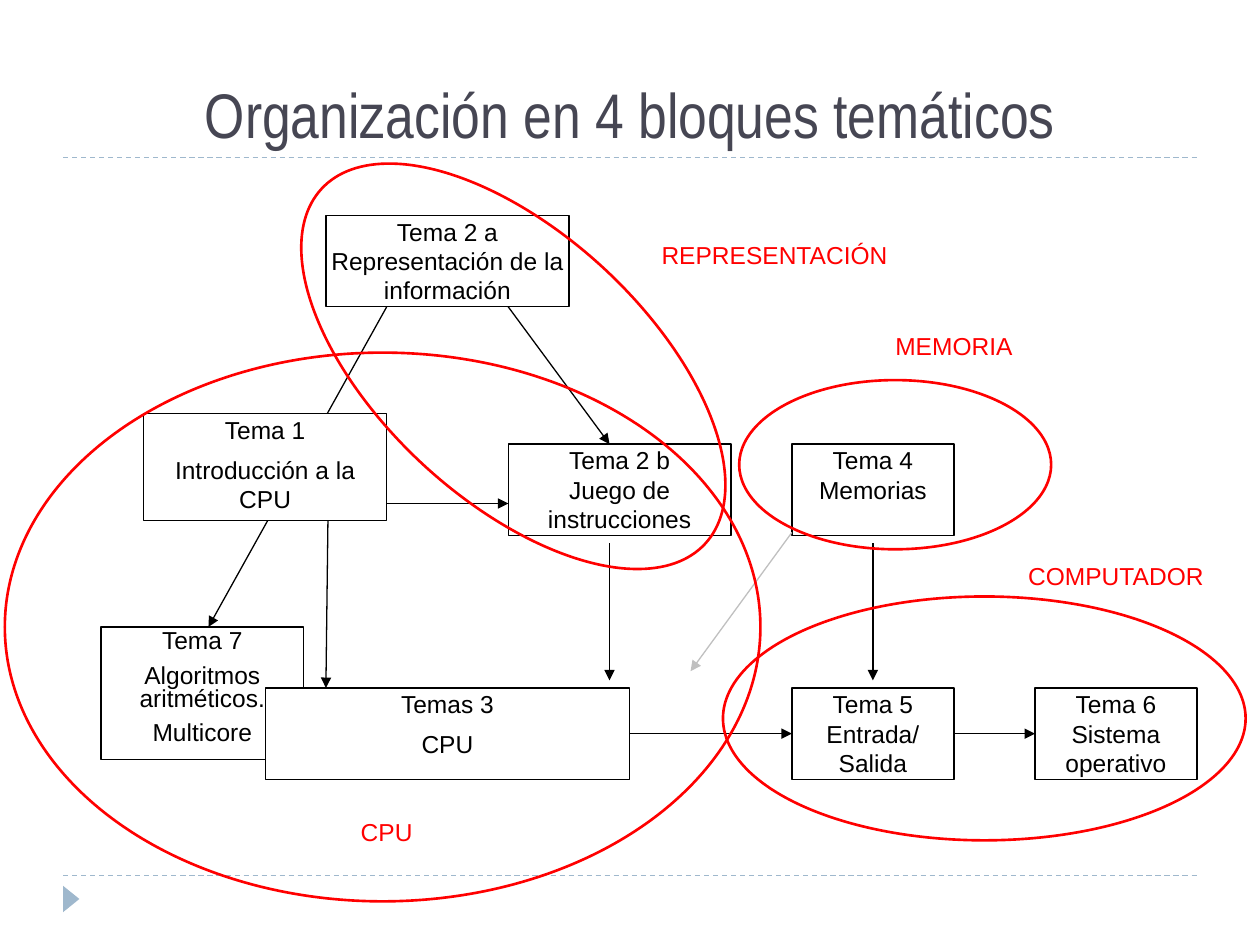
from dataclasses import dataclass
from typing import Optional

import pptx
import pptx.dml.color
import pptx.enum.dml
import pptx.enum.shapes
import pptx.enum.text
import pptx.oxml.ns
import pptx.util
from lxml import etree

In, Pt = pptx.util.Inches, pptx.util.Pt
SHAPE = pptx.enum.shapes.MSO_SHAPE
ANCHOR = pptx.enum.text.MSO_ANCHOR
W, H = 10, 7.5
COL, ROW = W / 62.2, H / 62     # diagram grid
LEFT, TOP = 1.14, 1.71          # grid origin, in inches


@dataclass(frozen=True)
class Theme:
    ink: str = "000000"
    paper: str = "FFFFFF"
    title: str = "464653"
    accent: str = "9FB8CD"
    block: str = "FF0000"
    faint: str = "C0C0C0"
    font: str = "Arial"
    title_font: str = "Arial Narrow"
    body_size: float = 14
    title_size: float = 36
    thin: float = 0.75
    thick: float = 1.5


T = Theme()


@dataclass(frozen=True)
class Cell:
    """Area of the diagram, in grid columns and rows."""
    col: float
    row: float
    cols: float
    rows: float

    def box(self) -> tuple:
        return (*point(self.col, self.row), In(self.cols * COL), In(self.rows * ROW))


@dataclass(frozen=True)
class Topic:
    cell: Cell
    lines: tuple
    after: float = 0
    spacing: tuple = (1, 1, 1)


@dataclass(frozen=True)
class Block:
    name: str
    label: Cell
    oval: Cell
    turn: float = 0


@dataclass(frozen=True)
class Arrow:
    start: tuple
    end: tuple
    color: str = T.ink


TOPICS = {
    "7": Topic(Cell(-2.1, 27, 10, 8.7), ("Tema 7", "Algoritmos aritméticos.", "Multicore"),
               6, (0.9, 0.8, 0.8)),
    "4": Topic(Cell(32, 15, 8, 6), ("Tema 4", "Memorias")),
    "5": Topic(Cell(32, 31, 8, 6), ("Tema 5", "Entrada/", "Salida")),
    "6": Topic(Cell(44, 31, 8, 6), ("Tema 6", "Sistema operativo")),
    "2b": Topic(Cell(18, 15, 11, 6), ("Tema 2 b", "Juego de instrucciones")),
    "2a": Topic(Cell(9, 0, 12, 6), ("Tema 2 a", "Representación de la información")),
    "1": Topic(Cell(0, 13, 12, 7), ("Tema 1", "Introducción a la CPU"), 6),
    "3": Topic(Cell(6, 31, 18, 6), ("Temas 3", "CPU"), 6),
}
BEHIND = Arrow((12, 6), (3.2, 27))      # passes under the Tema 1 box
ARROWS = (
    Arrow((9.1, 20), (9, 31)),
    Arrow((23, 21.5), (23, 30.5)),
    Arrow((36, 21.5), (36, 30.5)),
    Arrow((18, 6), (23, 15)),
    Arrow((32, 20.8), (27, 29.9), T.faint),
    Arrow((12, 18.9), (18, 18.9)),
)
SEQUENCE = (("3", "5"), ("5", "6"))     # joined right side to left side
BLOCKS = (
    Block("MEMORIA", Cell(36, 7.5, 8, 3), Cell(29.4, 10.8, 15.4, 11.1)),
    Block("COMPUTADOR", Cell(43.1, 22.6, 9.8, 3), Cell(28.6, 25, 25.8, 16)),
    Block("CPU", Cell(7.1, 39.4, 9.8, 3), Cell(-6.85, 9, 37.3, 36)),
    Block("REPRESENTACIÓN", Cell(24.6, 1.5, 13.1, 3), Cell(5.35, 1.15, 25.8, 17.5), 42.8),
)


def rgb(color: str):
    return pptx.dml.color.RGBColor.from_string(color)


def point(col: float, row: float) -> tuple:
    return In(LEFT + col * COL), In(TOP + row * ROW)


def write(sp, lines: tuple, *, size: float = T.body_size, font: str = T.font,
          color: str = T.ink, anchor=ANCHOR.TOP, inset: tuple = (0.02, 0.01),
          after: float = 0, spacing: tuple = (1, 1, 1)) -> None:
    tf = sp.text_frame
    tf.word_wrap, tf.vertical_anchor = True, anchor
    tf.margin_left = tf.margin_right = In(inset[0])
    tf.margin_top = tf.margin_bottom = In(inset[1])
    for i, (text, leading) in enumerate(zip(lines, spacing)):
        p = tf.add_paragraph() if i else tf.paragraphs[0]
        p.alignment = pptx.enum.text.PP_ALIGN.CENTER
        p.space_after, p.line_spacing = Pt(after), leading
        r = p.add_run()
        r.text = text
        r.font.size, r.font.name = Pt(size), font
        r.font.color.rgb = rgb(color)


def add_shape(s, kind, box: tuple, *, fill: Optional[str] = None,
              line: Optional[str] = None, width: float = T.thin, turn: float = 0):
    sp = s.shapes.add_shape(kind, *box)
    sp.shadow.inherit = False
    sp.rotation = turn
    if fill:
        sp.fill.solid()
        sp.fill.fore_color.rgb = rgb(fill)
    else:
        sp.fill.background()
    if line:
        sp.line.color.rgb, sp.line.width = rgb(line), Pt(width)
    else:
        sp.line.fill.background()
    return sp


def add_line(s, start: tuple, end: tuple, *, color: str = T.ink,
             dashed: bool = False, head: bool = True):
    cx = s.shapes.add_connector(pptx.enum.shapes.MSO_CONNECTOR.STRAIGHT, *start, *end)
    cx.line.color.rgb, cx.line.width = rgb(color), Pt(T.thin)
    if dashed:
        cx.line.dash_style = pptx.enum.dml.MSO_LINE.DASH
    qn = pptx.oxml.ns.qn
    if head:
        etree.SubElement(cx.line._get_or_add_ln(), qn("a:tailEnd"), type="triangle")
    etree.SubElement(cx._element.spPr, qn("a:effectLst"))
    return cx


def add_arrow(s, arrow: Arrow) -> None:
    add_line(s, point(*arrow.start), point(*arrow.end), color=arrow.color)


def add_topic(s, topic: Topic):
    sp = add_shape(s, SHAPE.RECTANGLE, topic.cell.box(), fill=T.paper, line=T.ink)
    write(sp, topic.lines, after=topic.after, spacing=topic.spacing)
    return sp


def add_frame(s) -> None:
    """Title, dashed rules and corner marker."""
    margin = W / 20
    for y in (6.95, 1.25):
        add_line(s, (In(margin), In(y)), (In(W - margin), In(y)),
                 color=T.accent, dashed=True, head=False)
    add_shape(s, SHAPE.ISOSCELES_TRIANGLE, (In(0.46), In(7.07), In(0.21), In(0.13)),
              fill=T.accent, turn=90)
    title = s.shapes.add_textbox(In(margin), In(0.25), In(W - 2 * margin), In(1))
    write(title, ("Organización en 4 bloques temáticos",), size=T.title_size,
          font=T.title_font, color=T.title, anchor=ANCHOR.BOTTOM, inset=(0.1, 0.05))


def main() -> None:
    prs = pptx.Presentation()
    prs.slide_width, prs.slide_height = In(W), In(H)
    s = prs.slides.add_slide(prs.slide_layouts[6])
    add_frame(s)
    add_arrow(s, BEHIND)
    boxes = {key: add_topic(s, topic) for key, topic in TOPICS.items()}
    for arrow in ARROWS:
        add_arrow(s, arrow)
    for a, b in SEQUENCE:
        cx = add_line(s, point(0, 0), point(1, 0))
        cx.begin_connect(boxes[a], 3)
        cx.end_connect(boxes[b], 1)
    for block in BLOCKS:
        write(s.shapes.add_textbox(*block.label.box()), (block.name,), color=T.block)
    for block in BLOCKS:
        add_shape(s, SHAPE.OVAL, block.oval.box(), line=T.block, width=T.thick, turn=block.turn)
    prs.save("out.pptx")


if __name__ == "__main__":
    main()
